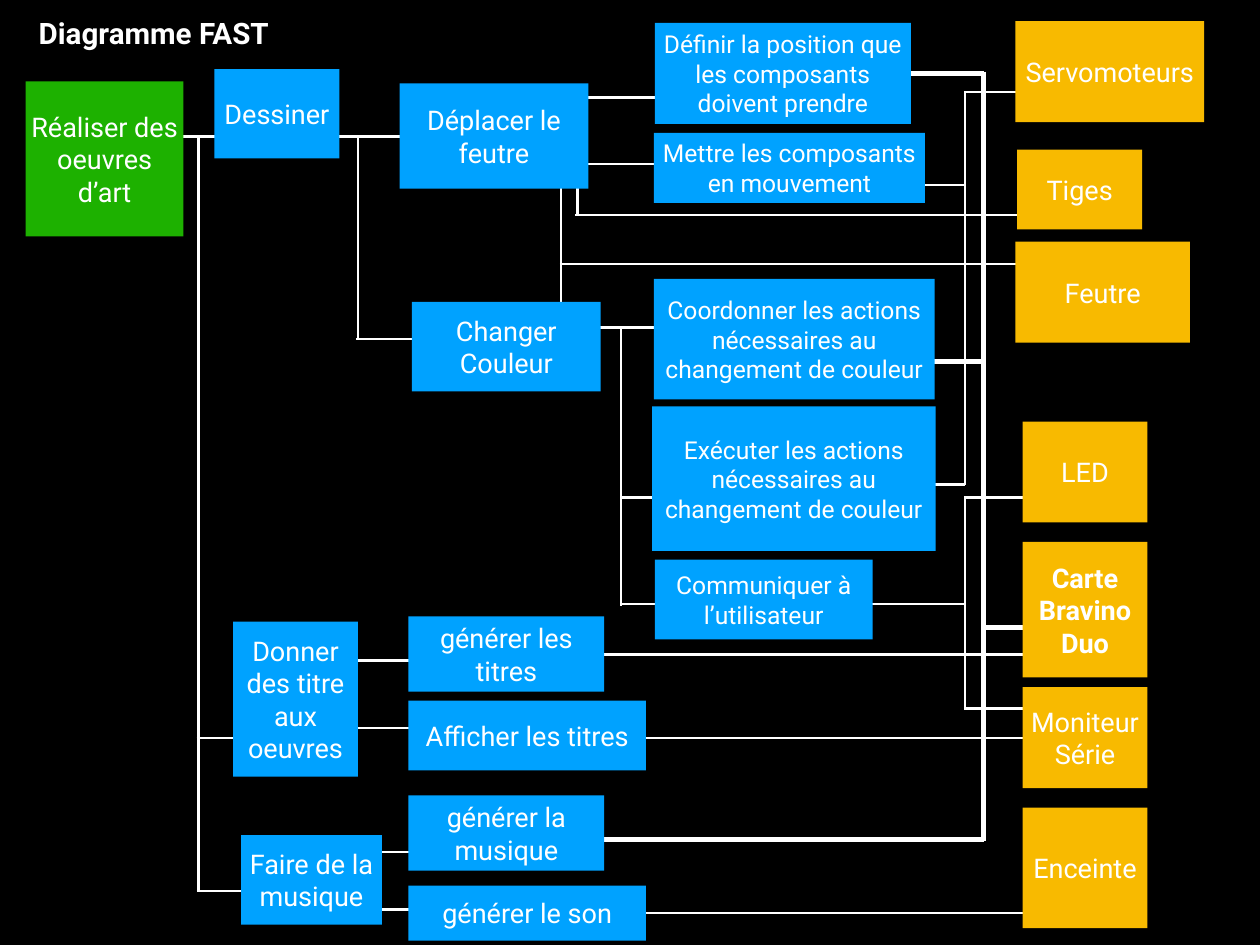
from dataclasses import dataclass

from lxml.etree import SubElement
from pptx import Presentation
from pptx.dml.color import RGBColor
from pptx.enum.shapes import MSO_CONNECTOR, MSO_SHAPE
from pptx.enum.text import MSO_ANCHOR, PP_ALIGN
from pptx.oxml.ns import qn
from pptx.util import Inches, Pt


@dataclass(frozen=True)
class Theme:
    background: str = "000000"
    ink: str = "FFFFFF"
    mission: str = "1DB100"
    function: str = "00A2FF"
    component: str = "F8BA00"
    font: str = "Roboto"
    title_size: int = 24
    block_size: int = 22
    task_size: int = 20
    thin: int = 2
    thick: int = 4
    inset: float = 0.6


@dataclass(frozen=True)
class Box:
    """An area in grid cells."""
    left: float
    top: float
    width: float
    height: float

    def inside(self, left, top, width, height):
        return Box(self.left + left, self.top + top, width, height)


THEME = Theme()
SLIDE = Box(0, 0, 142.2, 106.7)
TITLE = Box(2.9, 1.2, 28.9, 5)

# Each column: its area, then blocks as (text, left, top, width, height) within it.
MISSION = Box(2.9, 9.2, 17.8, 17.5), [("Réaliser des oeuvres d’art", 0, 0, 17.8, 17.5)]
FUNCTIONS = Box(24.2, 7.8, 18.9, 96.6), [
    ("Dessiner", 0, 0, 14.1, 10.1),
    ("Donner des titre aux oeuvres", 2.1, 62.4, 14.1, 17.5),
    ("Faire de la musique", 3, 86.5, 15.9, 10.1),
]
SUBFUNCTIONS = Box(45.1, 9.4, 27.8, 96.8), [
    ("Déplacer le feutre", 0, 0, 21.3, 11.9),
    ("Changer Couleur", 1.4, 24.7, 21.3, 10.1),
    ("générer les titres", 1, 60.2, 22.1, 8.5),
    ("Afficher les titres", 1, 69.7, 26.8, 7.9),
    ("générer la musique", 1, 80.4, 22.1, 8.5),
    ("générer le son", 1, 90.6, 26.8, 6.2),
]
TASKS = Box(73.6, 2.6, 32, 69.6), [
    ("Définir la position que les composants doivent prendre", 0.3, 0, 28.9, 11.4),
    ("Mettre les composants en mouvement", 0.2, 12.4, 30.6, 7.9),
    ("Coordonner les actions nécessaires au changement de couleur", 0.2, 28.9, 31.7, 13.6),
    ("Exécuter les actions nécessaires au changement de couleur", 0, 43.3, 32, 16.3),
    ("Communiquer à l’utilisateur", 0.3, 60.6, 24.6, 9),
]
COMPONENTS = Box(114.6, 2.4, 21.3, 102.4), [
    ("Servomoteurs", 0, 0, 21.3, 11.4),
    ("Tiges", 0.2, 14.5, 14.1, 9),
    ("Feutre", 0, 24.9, 19.7, 11.4),
    ("LED", 0.8, 45.2, 14.1, 11.4),
    ("Moniteur Série", 0.8, 75.2, 14.1, 11.4),
    ("Enceinte", 0.8, 88.8, 14.1, 13.6),
]
BOARD = Box(115.4, 61.2, 14.1, 15.3), [("Carte Bravino Duo", 0, 0, 14.1, 15.3)]

# Each trunk: x, top, bottom, then its branches as (y, start, end).
TRUNKS = [
    (22.4, 15.4, 100.7, [(15.4, 17.6, 33.5), (83.3, 22.2, 38.1), (100.6, 22.2, 38.1)]),
    (40.4, 15.4, 38.4, [(15.4, 36.5, 52.4), (38.3, 40.2, 56.1)]),
    (63.3, 21, 36.3, [(29.8, 63.2, 116)]),
    (65.2, 17.3, 24.2, [(24.3, 64.9, 116.5)]),
    (70.1, 37, 68.4, [(37, 65.6, 81.5), (56.2, 70.1, 86), (68.2, 70.1, 108.9)]),
    (108.9, 10.3, 54.8, [(10.4, 108.8, 122.9), (20.9, 97.4, 109), (54.7, 99.4, 108.9)]),
    (108.9, 56.2, 80.2, [(56.2, 108.8, 122.9), (80, 108.8, 122.9)]),
]
CONTROL_TRUNK = (111, 8.1, 95, [(8.3, 96.9, 111), (40.8, 99.4, 111.1),
                                (70.9, 110.8, 124.9), (94.8, 67.8, 111.1)])
DIRECT_LINKS = [
    (11, 65.6, 81.5), (18.5, 65.6, 81.5),
    (74.6, 38, 53.9), (82.2, 36.5, 52.4),
    (73.9, 67.1, 118.7), (83.3, 72.1, 123.7),
    (96.2, 41, 56.9), (102.7, 39.5, 55.4), (103.1, 70.6, 122.2),
]


def cells(count):
    return Inches(count / 10)


def color(code):
    return RGBColor.from_string(code)


def write(shape, text, size=THEME.block_size, bold=False, wrap=True):
    frame = shape.text_frame
    frame.text = text
    frame.word_wrap = wrap
    frame.vertical_anchor = MSO_ANCHOR.MIDDLE
    frame.margin_left = frame.margin_right = cells(THEME.inset)
    frame.margin_top = frame.margin_bottom = cells(THEME.inset)
    paragraph = frame.paragraphs[0]
    paragraph.alignment = PP_ALIGN.CENTER
    font = paragraph.runs[0].font
    font.name, font.size, font.bold = THEME.font, Pt(size), bold
    font.color.rgb = color(THEME.ink)


def place_title(slide, box):
    title = slide.shapes.title
    title.left, title.top = cells(box.left), cells(box.top)
    title.width, title.height = cells(box.width), cells(box.height)
    write(title, "Diagramme FAST", size=THEME.title_size, bold=True, wrap=False)


def draw_column(slide, column, fill, **text_format):
    area, blocks = column
    for text, *position in blocks:
        box = area.inside(*position)
        shape = slide.shapes.add_shape(MSO_SHAPE.RECTANGLE, cells(box.left), cells(box.top),
                                       cells(box.width), cells(box.height))
        shape.shadow.inherit = False
        shape.fill.solid()
        shape.fill.fore_color.rgb = color(fill)
        shape.line.fill.background()
        write(shape, text, **text_format)


def draw_line(slide, area, start, end, weight=THEME.thin):
    (start_x, start_y), (end_x, end_y) = start, end
    connector = slide.shapes.add_connector(
        MSO_CONNECTOR.STRAIGHT,
        cells(area.left + start_x), cells(area.top + start_y),
        cells(area.left + end_x), cells(area.top + end_y))
    connector.line.color.rgb = color(THEME.ink)
    connector.line.width = Pt(weight)
    SubElement(connector._element.spPr, qn("a:effectLst"))


def draw_branches(slide, area, branches, weight=THEME.thin):
    for y, start, end in branches:
        draw_line(slide, area, (start, y), (end, y), weight)


def draw_trunk(slide, area, trunk, weight=THEME.thin):
    x, top, bottom, branches = trunk
    draw_line(slide, area, (x, top), (x, bottom), weight)
    draw_branches(slide, area, branches, weight)


def draw_links(slide, area):
    """Draw every link first, so that the blocks cover the line ends."""
    draw_branches(slide, area, DIRECT_LINKS)
    for trunk in TRUNKS:
        draw_trunk(slide, area, trunk)
    draw_trunk(slide, area, CONTROL_TRUNK, THEME.thick)


def build_fast_diagram(presentation):
    slide = presentation.slides.add_slide(presentation.slide_layouts[5])
    slide.background.fill.solid()
    slide.background.fill.fore_color.rgb = color(THEME.background)
    place_title(slide, TITLE)
    draw_links(slide, SLIDE)
    draw_column(slide, MISSION, THEME.mission)
    draw_column(slide, FUNCTIONS, THEME.function)
    draw_column(slide, SUBFUNCTIONS, THEME.function)
    draw_column(slide, TASKS, THEME.function, size=THEME.task_size)
    draw_column(slide, COMPONENTS, THEME.component)
    draw_column(slide, BOARD, THEME.component, bold=True)


def main():
    presentation = Presentation()
    presentation.slide_width = cells(SLIDE.width)
    presentation.slide_height = cells(SLIDE.height)
    build_fast_diagram(presentation)
    presentation.save("out.pptx")


if __name__ == "__main__":
    main()
